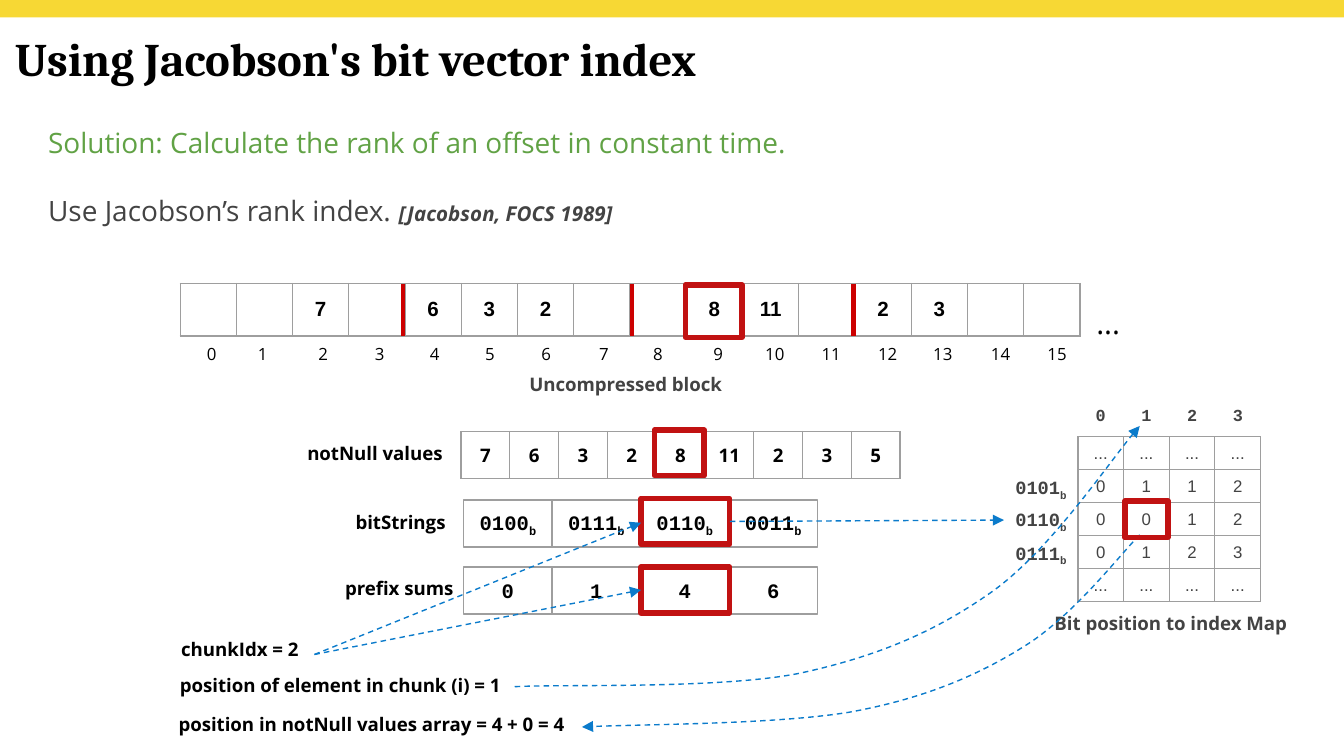
from lxml.etree import SubElement
from pptx import Presentation
from pptx.dml.color import RGBColor
from pptx.enum.dml import MSO_LINE_DASH_STYLE as DASH
from pptx.enum.shapes import MSO_CONNECTOR, MSO_SHAPE
from pptx.enum.text import MSO_ANCHOR as ANCHOR, MSO_AUTO_SIZE as AUTO, PP_ALIGN as ALIGN
from pptx.oxml.ns import qn
from pptx.util import Emu, Pt

EMU_PER_PX = 9144
COLORS = {
    "yellow": "F7D834", "black": "000000", "gray": "434343", "green": "61A245",
    "white": "FFFFFF", "border": "9E9E9E", "frame": "C11212", "divider": "CC0000",
    "arrow": "0B7BCB",
}
SANS, SERIF, MONO, ARIAL = "Open Sans", "Cambria", "Courier New", "Arial"


def px(n):
    return Emu(round(n * EMU_PER_PX))


def rgb(name):
    return RGBColor.from_string(COLORS[name])


class SlideBuilder:
    def __init__(self, prs):
        self.s = prs.slides.add_slide(prs.slide_layouts[5])

    def set_text(self, tf, text, size, font=SANS, color="black", bold=True,
                 align=ALIGN.CENTER, anchor=ANCHOR.TOP, inset=10, sub=None):
        tf.word_wrap = True
        tf.vertical_anchor = anchor
        tf.margin_left = tf.margin_right = tf.margin_top = tf.margin_bottom = px(inset)
        p = tf.paragraphs[0]
        p.alignment = align
        p.font.size, p.font.name, p.font.bold = Pt(size), font, bold
        p.font.color.rgb = rgb(color)
        p.add_run().text = text
        if sub:
            r = p.add_run()
            r.text = sub
            r._r.get_or_add_rPr().set("baseline", "-25000")
        return p

    def title(self, box, text):
        sp = self.s.shapes.title
        sp.left, sp.top, sp.width, sp.height = map(px, box)
        self.set_text(sp.text_frame, text, 25, SERIF, align=ALIGN.LEFT)
        sp.text_frame.auto_size = AUTO.NONE

    def text(self, box, text, size, **style):
        sp = self.s.shapes.add_textbox(*map(px, box))
        return self.set_text(sp.text_frame, text, size, **style)

    def body(self, box, text, color):
        p = self.text(box, text, 15, color=color, bold=False, align=ALIGN.LEFT)
        p.line_spacing, p.space_after = 1.15, Pt(10)
        return p

    def rect(self, box, fill=None, line=None, weight=0.75):
        sp = self.s.shapes.add_shape(MSO_SHAPE.RECTANGLE, *map(px, box))
        sp.shadow.inherit = False
        if fill:
            sp.fill.solid()
            sp.fill.fore_color.rgb = rgb(fill)
        else:
            sp.fill.background()
        if line:
            sp.line.color.rgb, sp.line.width = rgb(line), Pt(weight)
        else:
            sp.line.fill.background()
        return sp

    def frame(self, box):
        self.rect(box, line="frame", weight=3)

    def boxes(self, top, values, sub=None):
        for i, value in enumerate(values):
            sp = self.rect((345 + 65.8 * i, top, 65.8, 35), "white", "border")
            self.set_text(sp.text_frame, value, 11, MONO, anchor=ANCHOR.MIDDLE, sub=sub)

    def table(self, box, rows, size, fill=None, inset=0, **style):
        shape = self.s.shapes.add_table(len(rows), len(rows[0]), *map(px, box))
        table = shape.table
        table.first_row = table.horz_banding = False
        for cells, row in zip(table.rows, rows):
            for cell, value in zip(cells.cells, row):
                cell.margin_left = cell.margin_right = px(inset)
                cell.margin_top = cell.margin_bottom = px(inset)
                cell.vertical_anchor = ANCHOR.MIDDLE
                if fill:
                    cell.fill.solid()
                    cell.fill.fore_color.rgb = rgb(fill)
                else:
                    cell.fill.background()
                self.cell_borders(cell)
                if value:
                    self.set_text(cell.text_frame, value, size, anchor=ANCHOR.MIDDLE,
                                  inset=inset, **style)

    def cell_borders(self, cell):
        tcPr = cell._tc.get_or_add_tcPr()
        for i, side in enumerate(("lnL", "lnR", "lnT", "lnB")):
            ln = SubElement(tcPr, qn(f"a:{side}"), w=str(Pt(0.75)))
            fill = SubElement(ln, qn("a:solidFill"))
            SubElement(fill, qn("a:srgbClr"), val=COLORS["border"])
            tcPr.insert(i, ln)

    def line(self, x1, y1, x2, y2):
        c = self.s.shapes.add_connector(MSO_CONNECTOR.STRAIGHT, *map(px, (x1, y1, x2, y2)))
        SubElement(c._element.spPr, qn("a:effectLst"))
        return c

    def divider(self, x):
        c = self.line(x, 211, x, 250)
        c.line.color.rgb, c.line.width = rgb("divider"), Pt(2.25)

    def dash(self, shape):
        shape.line.color.rgb, shape.line.width = rgb("arrow"), Pt(0.75)
        shape.line.dash_style = DASH.DASH
        SubElement(shape.line._get_or_add_ln(), qn("a:tailEnd"), type="triangle")

    def arrow(self, *ends):
        self.dash(self.line(*ends))

    def curve(self, points):
        builder = self.s.shapes.build_freeform(*points[0], scale=EMU_PER_PX)
        builder.add_line_segments(points[1:], close=False)
        sp = builder.convert_to_shape()
        segments = list(sp._element.iter(qn("a:lnTo")))
        for i in range(0, len(segments), 3):
            bezier = SubElement(segments[i].getparent(), qn("a:cubicBezTo"))
            for segment in segments[i:i + 3]:
                bezier.append(segment[0])
                segment.getparent().remove(segment)
        sp.shadow.inherit = False
        sp.fill.background()
        self.dash(sp)


def main():
    prs = Presentation()
    prs.slide_width, prs.slide_height = px(1000), px(562.5)
    b = SlideBuilder(prs)

    b.rect((0, 0, 1000, 13), "yellow")
    b.title((1, 12, 788, 62), "Using Jacobson's bit vector index")

    block = ["", "", "7", "", "6", "3", "2", "", "", "8", "11", "", "2", "3", "", ""]
    b.table((134, 211, 670, 39), [block], 11, font=ARIAL)
    b.text((369, 269, 193, 34), "Uncompressed block", 10, color="gray")
    centers = (157, 195, 240, 282, 323, 364, 406, 449, 489, 534, 576, 618, 660, 701, 744, 786)
    for i, x in enumerate(centers):
        b.text((x - 18, 248, 37, 27), str(i), 9, bold=False)
    b.text((812, 227, 25, 19), "...", 16, bold=False, inset=0)

    b.text((211, 320, 136, 39), "notNull values", 10)
    b.table((343, 321, 327, 35), ["7 6 3 2 8 11 2 3 5".split()], 10, fill="white")
    b.frame((510, 212, 42, 39))
    b.frame((487, 320, 37, 34))

    b.body((26, 80, 700, 45), "Solution: Calculate the rank of an offset in constant time.", "green")
    p = b.body((26, 130, 700, 45), "Use Jacobson’s rank index. ", "gray")
    r = p.add_run()
    r.text = "[Jacobson, FOCS 1989]"
    r.font.size, r.font.bold, r.font.italic = Pt(11), True, True

    for x in (300, 470, 635):
        b.divider(x)

    dots = ["..."] * 4
    index_map = [dots, list("0112"), list("0012"), list("0123"), dots]
    b.table((802, 325, 136, 123), index_map, 9, inset=2, font=ARIAL, color="gray", bold=False)

    b.text((249, 380, 98, 24), "bitStrings", 10, inset=0)
    b.boxes(372, ("0100", "0111", "0110", "0011"), sub="b")
    b.text((248, 429, 98, 24), "prefix sums", 10, inset=0)
    b.boxes(422, "0146")

    label = dict(font=MONO, color="gray", anchor=ANCHOR.MIDDLE, inset=2)
    for y, bits in zip((355, 379, 404), ("0101", "0110", "0111")):
        b.text((747, y, 55, 17), bits, 10, sub="b", **label)
    for i in range(4):
        b.text((805 + 34 * i, 300, 28, 17), str(i), 9, **label)
    b.text((772, 447, 198, 38), "Bit position to index Map", 10, color="gray")

    for y in (371, 422):
        b.frame((477, y, 66, 34))

    notes = (
        (125, 466, 136, "chunkIdx = 2"),
        (124, 493, 331, "position of element in chunk (i) = 1"),
        (123, 522, 381, "position in notNull values array = 4 + 0 = 4"),
    )
    for x, y, w, text in notes:
        b.text((x, y, w, 32), text, 10, align=ALIGN.LEFT)

    b.arrow(234, 487, 477, 389)
    b.arrow(234, 487, 477, 439)
    b.curve([(848, 398), (834, 412), (798, 459), (762, 481), (727, 503),
             (687, 520), (632, 530), (577, 539), (466, 539), (433, 541)])
    b.frame((837, 373, 32, 27))
    b.arrow(543, 388, 747, 387)
    b.curve([(383, 511), (418, 509), (535, 513), (595, 501), (655, 488),
             (698, 469), (740, 439), (782, 408), (830, 337), (848, 317)])

    prs.save("out.pptx")


if __name__ == "__main__":
    main()
